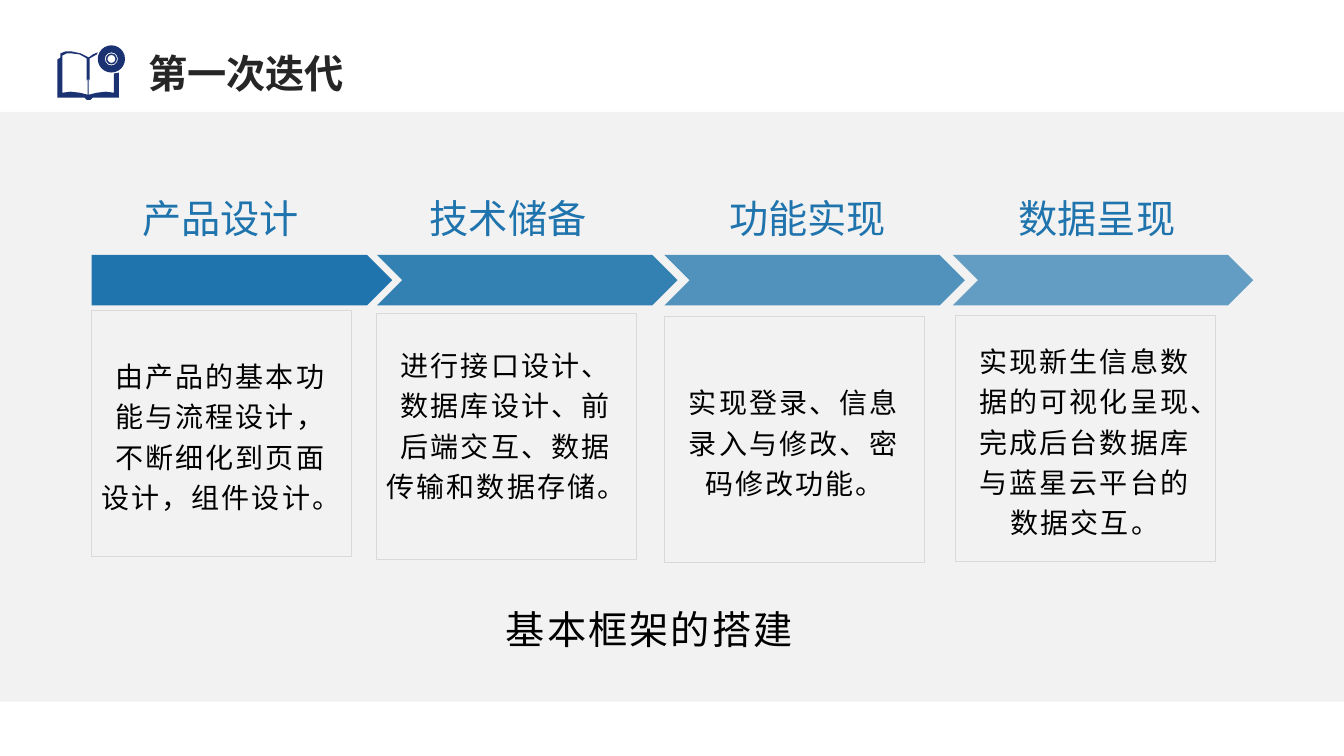
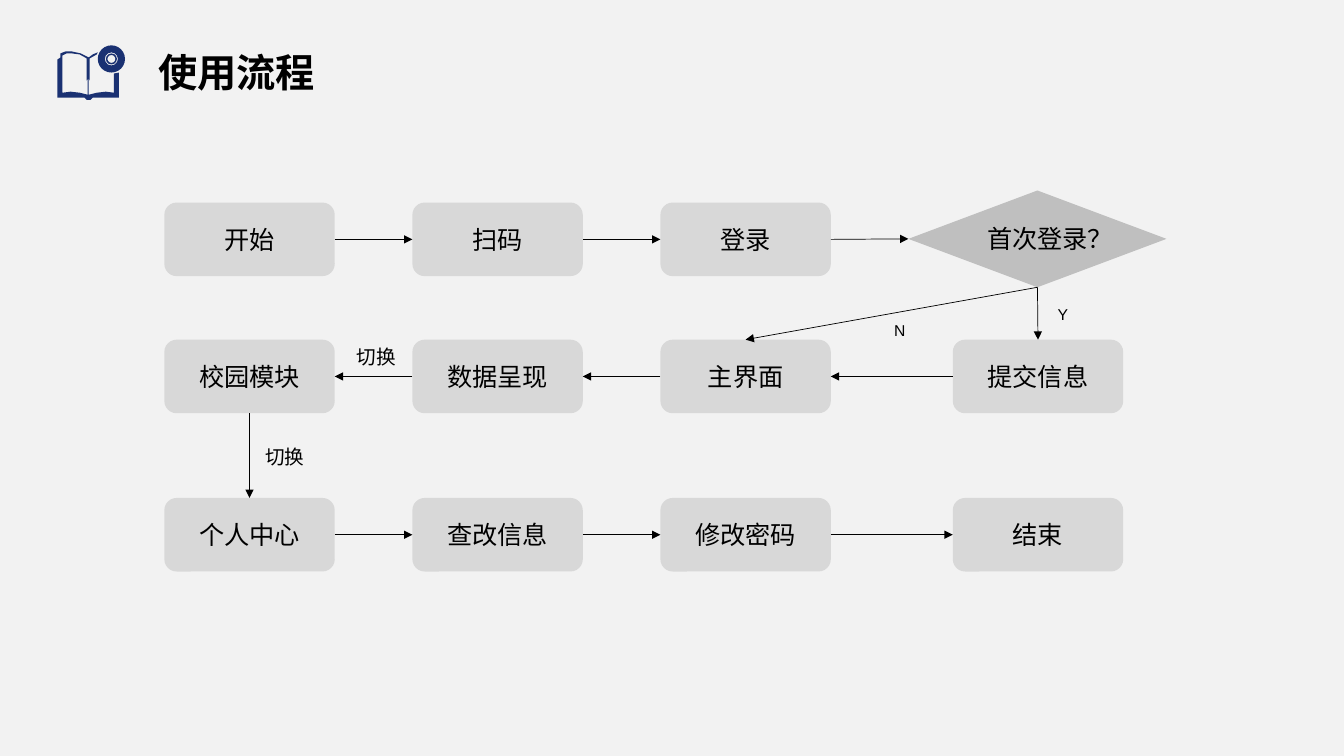
from dataclasses import dataclass

from lxml.etree import SubElement
from pptx import Presentation
from pptx.dml.color import RGBColor
from pptx.enum.shapes import MSO_CONNECTOR as CONN, MSO_SHAPE as SHAPE
from pptx.enum.text import MSO_ANCHOR as ANCHOR, PP_ALIGN as ALIGN
from pptx.oxml.ns import qn
from pptx.util import Inches, Pt


@dataclass(frozen=True)
class Theme:
    # Colours
    back: str = "F2F2F2"
    white: str = "FFFFFF"
    navy: str = "1A3172"
    blue: str = "1F74AD"
    ink: str = "000000"
    title_ink: str = "262626"
    border: str = "D9D9D9"
    step: str = "D8D8D8"
    decision: str = "BFBFBF"
    # Fonts and sizes
    latin: str = "Arial"
    cjk: str = "Noto Sans CJK SC"
    title: float = 28
    body: float = 20
    node: float = 18
    label: float = 14
    small: float = 11.2
    tracking: int = 150


TOP, LEFT, BOTTOM, RIGHT = range(4)

# Book outline and left page, in hundredths of an inch
BOOK = [(71, 51), (80, 53), (88, 57), (92, 54), (97, 52), (96, 54), (89, 58), (89, 80),
        (88, 78), (88, 94), (96, 92), (105, 91), (113, 92), (113, 73), (118, 72),
        (118, 97), (92, 97), (90, 99), (86, 99), (84, 97), (57, 97), (57, 59),
        (60, 57), (60, 53), (65, 51)]
PAGE = [(71, 53), (66, 53), (62, 55), (62, 92), (70, 91), (79, 92), (87, 94), (87, 78),
        (86, 80), (86, 58), (79, 54)]


class Deck:
    def __init__(self, theme):
        self.t = theme
        self.prs = Presentation()
        self.prs.slide_width, self.prs.slide_height = Inches(13.33), Inches(7.5)
        self.s = None

    def new_slide(self):
        self.s = self.prs.slides.add_slide(self.prs.slide_layouts[6])
        fill = self.s.background.fill
        fill.solid()
        fill.fore_color.rgb = RGBColor.from_string(self.t.back)

    def header(self, title, x, y, color):
        self.icon()
        self.text(title, (x, y, 11.87, 0.73), self.t.title, color, anchor=ANCHOR.BOTTOM,
                  align=ALIGN.LEFT, spacing=0.9, bold=True)

    def paint(self, sp, fill, line=None, alpha=None):
        sp.shadow.inherit = False
        sp.fill.solid()
        sp.fill.fore_color.rgb = RGBColor.from_string(fill)
        if alpha:
            clr = sp.element.spPr.find(qn("a:solidFill"))[0]
            SubElement(clr, qn("a:alpha")).set("val", str(alpha * 1000))
        if line:
            sp.line.color.rgb = RGBColor.from_string(line)
            sp.line.width = Pt(0.25)
        else:
            sp.line.fill.background()

    def icon(self):
        fb = self.s.shapes.build_freeform(*BOOK[0], scale=Inches(0.01))
        fb.add_line_segments(BOOK[1:])
        fb.move_to(*PAGE[0])
        fb.add_line_segments(PAGE[1:])
        self.paint(fb.convert_to_shape(), self.t.navy)
        # Disc: outer and inner ring
        for box, ring in (((0.97, 0.45, 0.27, 0.27), 0.26), ((1.05, 0.53, 0.11, 0.11), 0.14)):
            self.shape(SHAPE.DONUT, box, self.t.navy).adjustments[0] = ring

    def shape(self, kind, box, fill, line=None, alpha=None):
        sp = self.s.shapes.add_shape(kind, *map(Inches, box))
        self.paint(sp, fill, line, alpha)
        return sp

    def text(self, words, box, size, color=None, **style):
        sp = self.s.shapes.add_textbox(*map(Inches, box))
        self.set_text(sp, words, size, color, **style)

    def set_text(self, sp, words, size, color=None, anchor=ANCHOR.MIDDLE,
                 align=ALIGN.CENTER, spacing=None, bold=False, tracking=None,
                 latin=None, bottom=0.05):
        tf = sp.text_frame
        p = tf.paragraphs[0]
        r = p.add_run()
        r.text = words
        formats = [
            (tf, {"word_wrap": True, "vertical_anchor": anchor,
                  "margin_bottom": Inches(bottom)}),
            (p, {"alignment": align, "line_spacing": spacing}),
            (r.font, {"size": Pt(size), "bold": bold, "name": latin or self.t.latin}),
        ]
        for target, values in formats:
            for name, value in values.items():
                setattr(target, name, value)
        r.font.color.rgb = RGBColor.from_string(color or self.t.ink)
        rPr = r._r.get_or_add_rPr()
        SubElement(rPr, qn("a:ea")).set("typeface", self.t.cjk)
        if tracking:
            rPr.set("spc", str(tracking))

    def node(self, words, box, kind=SHAPE.ROUNDED_RECTANGLE, fill=None):
        sp = self.shape(kind, box, fill or self.t.step)
        self.set_text(sp, words, self.t.node)
        return sp

    def arrow(self, start, start_side, end, end_side):
        c = self.s.shapes.add_connector(CONN.STRAIGHT, 0, 0, 0, 0)
        c.begin_connect(start, start_side)
        c.end_connect(end, end_side)
        c.line.color.rgb = RGBColor.from_string(self.t.ink)
        c.line.width = Pt(0.5)
        spPr = c.element.spPr
        SubElement(spPr.find(qn("a:ln")), qn("a:tailEnd")).set("type", "triangle")
        SubElement(spPr, qn("a:effectLst"))


def iteration_slide(deck):
    t = deck.t
    deck.new_slide()
    deck.shape(SHAPE.RECTANGLE, (0, 0, 13.33, 7.5), t.white)
    deck.shape(SHAPE.RECTANGLE, (0, 1.11, 13.33, 5.85), t.back)
    deck.header("第一次迭代", 1.37, 0.28, t.title_ink)

    # Stage: heading, heading x, band x, opacity, card x, card y, bottom inset, card text
    stages = [
        ("产品设计", 1.17, 0.91, None, 0.9, 3.08, 0.05,
         "由产品的基本功能与流程设计，不断细化到页面设计，组件设计。"),
        ("技术储备", 4.02, 3.74, 90, 3.73, 3.11, 0.33,
         "进行接口设计、数据库设计、前后端交互、数据传输和数据存储。"),
        ("功能实现", 6.99, 6.59, 76, 6.59, 3.14, 0.05,
         "实现登录、信息录入与修改、密码修改功能。"),
        ("数据呈现", 9.86, 9.45, 67, 9.47, 3.13, 0.05,
         "实现新生信息数据的可视化呈现、完成后台数据库与蓝星云平台的数据交互。"),
    ]
    spaced = {"spacing": 1.2, "tracking": t.tracking}
    for i, (name, name_x, band_x, alpha, x, y, bottom, words) in enumerate(stages):
        card = deck.shape(SHAPE.RECTANGLE, (x, y, 2.58, 2.44), t.back, t.border)
        deck.set_text(card, words, t.body, bottom=bottom, **spaced)
        deck.shape(SHAPE.CHEVRON if i else SHAPE.PENTAGON, (band_x, 2.53, 2.98, 0.5),
                   t.blue, alpha=alpha)
        deck.text(name, (name_x, 1.88, 2.04, 0.57), t.title, t.blue,
                  anchor=ANCHOR.TOP, latin=t.cjk)
    deck.text("基本框架的搭建", (4.88, 5.79, 3.12, 0.81), t.title, **spaced)


def flow_slide(deck):
    t = deck.t
    deck.new_slide()
    deck.header("使用流程", 1.47, 0.27, t.ink)

    # Steps on a grid, with the decision at the end of the first row
    columns = [1.63 + 2.46 * i for i in range(3)] + [9.45]
    rows = {2.01: ["开始", "扫码", "登录"],
            3.37: ["校园模块", "数据呈现", "主界面", "提交信息"],
            4.94: ["个人中心", "查改信息", "修改密码", "结束"]}
    first, middle, last = [[deck.node(words, (x, y, 1.69, 0.73))
                            for x, words in zip(columns, names)]
                           for y, names in rows.items()]
    first.append(deck.node("首次登录？", (9.01, 1.89, 2.56, 0.96),
                           SHAPE.FLOWCHART_DECISION, t.decision))

    # Arrows along the rows, then between them
    for row in (first, middle[::-1], last):
        sides = (LEFT, RIGHT) if row[0].left > row[-1].left else (RIGHT, LEFT)
        for a, b in zip(row, row[1:]):
            deck.arrow(a, sides[0], b, sides[1])
    for a, b in ((first[3], middle[3]), (first[3], middle[2]), (middle[0], last[0])):
        deck.arrow(a, BOTTOM, b, TOP)

    # Arrow labels
    for words, box, size in (("Y", (10.39, 2.99, 0.22, 0.25), t.small),
                             ("N", (8.77, 3.15, 0.25, 0.25), t.small),
                             ("切换", (3.21, 3.1, 1.05, 0.87), t.label),
                             ("切换", (2.3, 4.1, 1.05, 0.87), t.label)):
        deck.text(words, box, size)


def main():
    deck = Deck(Theme())
    iteration_slide(deck)
    flow_slide(deck)
    deck.prs.save("out.pptx")


if __name__ == "__main__":
    main()
